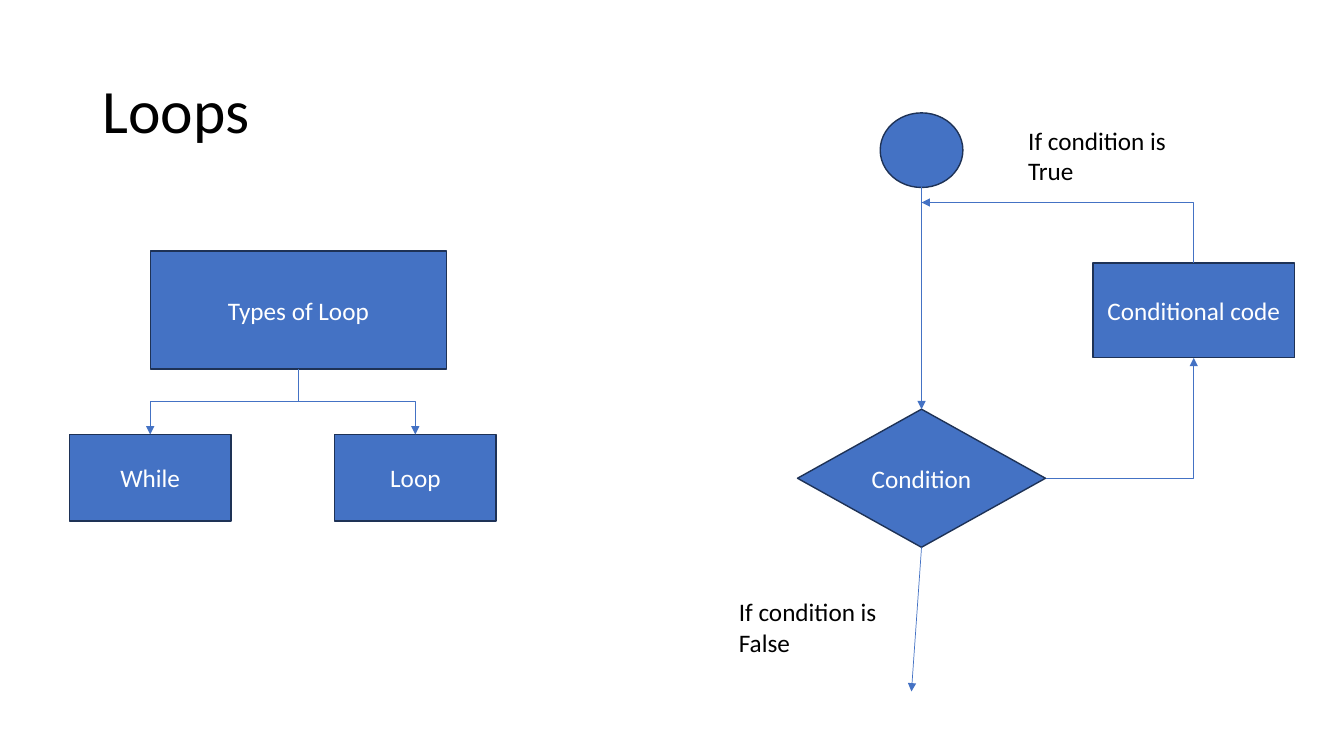
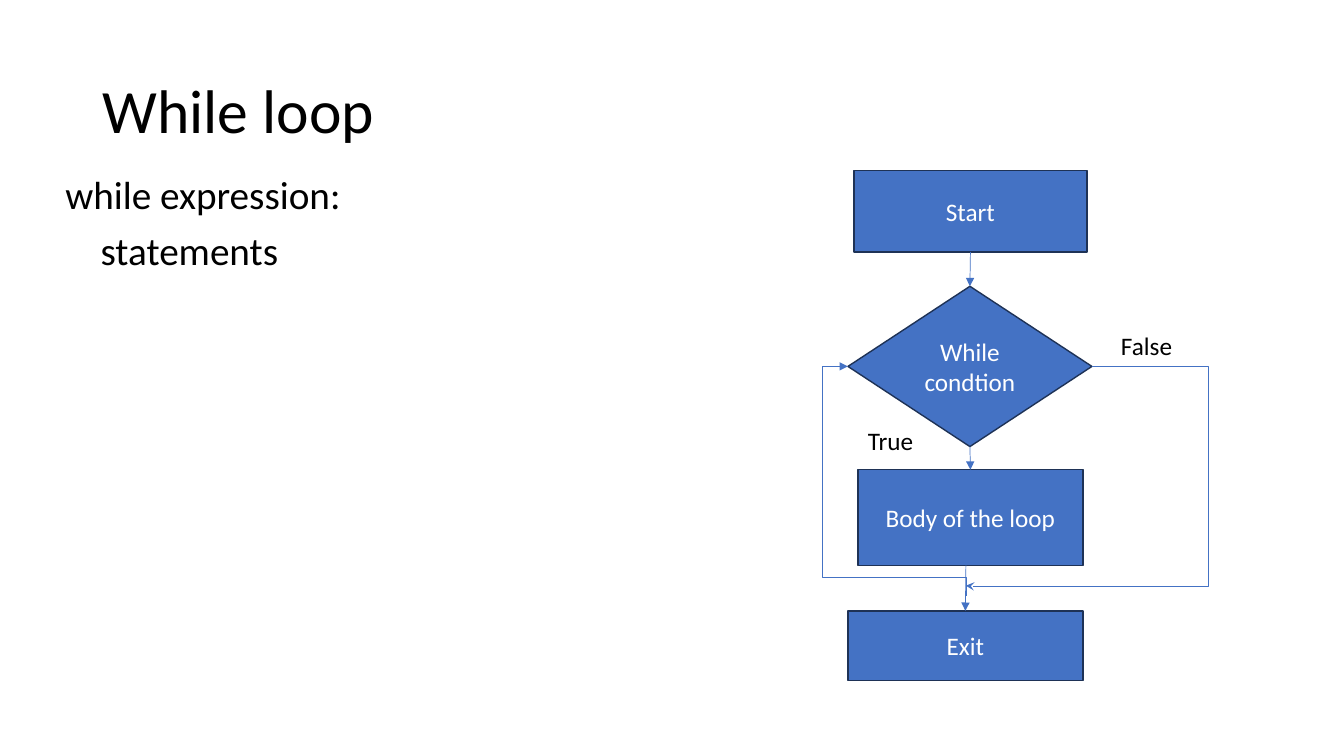
from dataclasses import dataclass

from lxml import etree
from pptx import Presentation
from pptx import util as u
from pptx.dml.color import RGBColor
from pptx.enum import shapes, text
from pptx.oxml.ns import qn
from pptx.shapes.autoshape import Shape
from pptx.shapes.connector import Connector
from pptx.slide import Slide

PX = 9144  # EMU per px, 100 px to the inch
TOP, LEFT, BOTTOM, RIGHT = range(4)
Preset = shapes.MSO_SHAPE
Anchor = text.MSO_ANCHOR


@dataclass(frozen=True)
class Theme:
    font: str = "Calibri"
    fill: RGBColor = RGBColor(0x44, 0x72, 0xC4)
    outline: RGBColor = RGBColor(0x1E, 0x32, 0x56)
    ink: RGBColor = RGBColor(0, 0, 0)
    paper: RGBColor = RGBColor(0xFF, 0xFF, 0xFF)
    title_size: int = 44
    body_size: int = 28
    label_size: int = 18
    outline_width: float = 1
    arrow_width: float = 0.5
    line_spacing: float = 0.9
    space_before: int = 10


THEME = Theme()


@dataclass(frozen=True)
class Box:
    x: int
    y: int
    w: int
    h: int


TITLE_BOX = Box(92, 40, 1150, 145)
BODY_BOX = Box(55, 169, 1150, 476)


@dataclass(frozen=True)
class Node:
    name: str
    caption: str
    box: Box
    preset: Preset = Preset.FLOWCHART_PROCESS


@dataclass(frozen=True)
class Label:
    caption: str
    box: Box


@dataclass(frozen=True)
class Port:
    """The middle of one side of a named node."""
    node: str
    side: int


@dataclass(frozen=True)
class Point:
    x: int
    y: int


@dataclass(frozen=True)
class Link:
    """An arrow; bends is 0 for a straight one, else the number of corners."""
    start: Port | Point
    end: Port | Point
    bends: int = 0
    adjust: tuple[int, ...] = ()
    head: str = "triangle"


@dataclass(frozen=True)
class FlowSlide:
    title: str
    nodes: tuple[Node, ...]
    links: tuple[Link, ...]
    labels: tuple[Label, ...]
    code: tuple[tuple[str, int], ...] = ()  # line and its indent


LOOPS = FlowSlide(
    title="Loops",
    nodes=(
        Node("types", "Types of Loop", Box(149, 249, 294, 117), Preset.RECTANGLE),
        Node("while", "While", Box(69, 431, 160, 86), Preset.RECTANGLE),
        Node("loop", "Loop", Box(332, 431, 160, 86), Preset.RECTANGLE),
        Node("condition", "Condition", Box(791, 406, 246, 137), Preset.FLOWCHART_DECISION),
        Node("entry", "", Box(873, 112, 82, 74), Preset.FLOWCHART_CONNECTOR),
        Node("code", "Conditional code", Box(1084, 261, 200, 94)),
    ),
    links=(
        Link(Port("types", BOTTOM), Port("while", TOP), 2),
        Link(Port("types", BOTTOM), Port("loop", TOP), 2),
        Link(Point(914, 186), Port("condition", TOP)),
        Link(Port("condition", RIGHT), Port("code", BOTTOM), 1),
        Link(Port("code", TOP), Point(914, 201), 1),
        Link(Port("condition", BOTTOM), Point(904, 686)),
    ),
    labels=(
        Label("If condition is False", Box(723, 587, 160, 71)),
        Label("If condition is True", Box(1010, 119, 160, 71)),
    ),
)

WHILE_LOOP = FlowSlide(
    title="While loop",
    code=(("while expression:", 0), ("statements", 35)),
    nodes=(
        Node("start", "Start", Box(847, 169, 231, 81)),
        Node("condition", "While condtion", Box(841, 284, 242, 159), Preset.FLOWCHART_DECISION),
        Node("body", "Body of the loop", Box(851, 466, 223, 95)),
        Node("exit", "Exit", Box(841, 606, 233, 69)),
    ),
    links=(
        Link(Port("start", BOTTOM), Port("condition", TOP)),
        Link(Port("condition", BOTTOM), Port("body", TOP)),
        Link(Point(958, 561), Port("exit", TOP)),
        Link(Point(958, 591), Port("condition", LEFT), 3, (8000, 121500)),
        Link(Port("condition", RIGHT), Point(958, 581), 3, (-92500, 100300), "stealth"),
    ),
    labels=(
        Label("True", Box(851, 417, 88, 40)),
        Label("False", Box(1102, 323, 73, 40)),
    ),
)


def px(length: float) -> int:
    return round(length * PX)


def frame(box: Box) -> tuple[int, int, int, int]:
    return px(box.x), px(box.y), px(box.w), px(box.h)


def format_text(shape: Shape, size: int, color: RGBColor) -> None:
    for para in shape.text_frame.paragraphs:
        for span in para.runs:
            span.font.name = THEME.font
            span.font.size = u.Pt(size)
            span.font.color.rgb = color


def add_text(page: Slide, box: Box, caption: str, size: int,
             anchor: Anchor = Anchor.TOP) -> Shape:
    shape = page.shapes.add_textbox(*frame(box))
    shape.text_frame.word_wrap = True
    shape.text_frame.vertical_anchor = anchor
    shape.text_frame.text = caption
    format_text(shape, size, THEME.ink)
    return shape


def add_title(page: Slide, caption: str) -> None:
    shape = add_text(page, TITLE_BOX, caption, THEME.title_size, Anchor.MIDDLE)
    shape.text_frame.paragraphs[0].line_spacing = THEME.line_spacing


def add_code(page: Slide, lines: tuple[tuple[str, int], ...]) -> None:
    shape = add_text(page, BODY_BOX, "\n".join(line for line, _ in lines), THEME.body_size)
    for para, (_, indent) in zip(shape.text_frame.paragraphs, lines):
        para.line_spacing = THEME.line_spacing
        para.space_before = u.Pt(THEME.space_before)
        para._p.get_or_add_pPr().set("marL", str(px(indent)))


def add_node(page: Slide, node: Node) -> Shape:
    shape = page.shapes.add_shape(node.preset, *frame(node.box))
    shape.shadow.inherit = False
    shape.fill.solid()
    shape.fill.fore_color.rgb = THEME.fill
    shape.line.color.rgb = THEME.outline
    shape.line.width = u.Pt(THEME.outline_width)
    shape.text_frame.word_wrap = True
    shape.text_frame.vertical_anchor = Anchor.MIDDLE
    shape.text_frame.text = node.caption
    shape.text_frame.paragraphs[0].alignment = text.PP_ALIGN.CENTER
    format_text(shape, THEME.label_size, THEME.paper)
    return shape


def locate(end: Port | Point, drawn: dict[str, Shape]) -> tuple[int, int]:
    if isinstance(end, Point):
        return px(end.x), px(end.y)
    shape = drawn[end.node]
    across, down = {TOP: (1, 0), LEFT: (0, 1), BOTTOM: (1, 2), RIGHT: (2, 1)}[end.side]
    return shape.left + shape.width * across // 2, shape.top + shape.height * down // 2


def bend(connector: Connector, link: Link, start: tuple[int, int], end: tuple[int, int]) -> None:
    """Choose the elbow preset, and turn it when the route leaves vertically."""
    geometry = connector.element.spPr.find(qn("a:prstGeom"))
    geometry.set("prst", f"bentConnector{link.bends + 1}")
    guides = geometry.find(qn("a:avLst"))
    for number, value in enumerate(link.adjust, 1):
        etree.SubElement(guides, qn("a:gd"), name=f"adj{number}", fmla=f"val {value}")
    if isinstance(link.start, Port) and link.start.side in (LEFT, RIGHT):
        return
    dx, dy = end[0] - start[0], end[1] - start[1]
    connector.width, connector.height = abs(dy), abs(dx)
    connector.left = (start[0] + end[0] - abs(dy)) // 2
    connector.top = (start[1] + end[1] - abs(dx)) // 2
    transform = connector.element.spPr.find(qn("a:xfrm"))
    transform.set("rot", str((90 if dy > 0 else 270) * 60000))
    transform.set("flipH", "0")
    transform.set("flipV", str(int((dx > 0) == (dy > 0))))


def add_link(page: Slide, link: Link, drawn: dict[str, Shape]) -> None:
    kind = shapes.MSO_CONNECTOR.ELBOW if link.bends else shapes.MSO_CONNECTOR.STRAIGHT
    start, end = locate(link.start, drawn), locate(link.end, drawn)
    connector = page.shapes.add_connector(kind, *start, *end)
    if isinstance(link.start, Port):
        connector.begin_connect(drawn[link.start.node], link.start.side)
    if isinstance(link.end, Port):
        connector.end_connect(drawn[link.end.node], link.end.side)
    if link.bends:
        bend(connector, link, start, end)
    connector.line.color.rgb = THEME.fill
    connector.line.width = u.Pt(THEME.arrow_width)
    properties = connector.element.spPr
    etree.SubElement(properties.find(qn("a:ln")), qn("a:tailEnd"), type=link.head)
    etree.SubElement(properties, qn("a:effectLst"))


def add_flow_slide(deck: Presentation, content: FlowSlide) -> None:
    page = deck.slides.add_slide(deck.slide_layouts[6])
    add_title(page, content.title)
    if content.code:
        add_code(page, content.code)
    drawn = {node.name: add_node(page, node) for node in content.nodes}
    for link in content.links:
        add_link(page, link, drawn)
    for label in content.labels:
        add_text(page, label.box, label.caption, THEME.label_size)


def main() -> None:
    deck = Presentation()
    deck.slide_width, deck.slide_height = px(1333), px(750)
    for content in (LOOPS, WHILE_LOOP):
        add_flow_slide(deck, content)
    deck.save("out.pptx")


if __name__ == "__main__":
    main()
